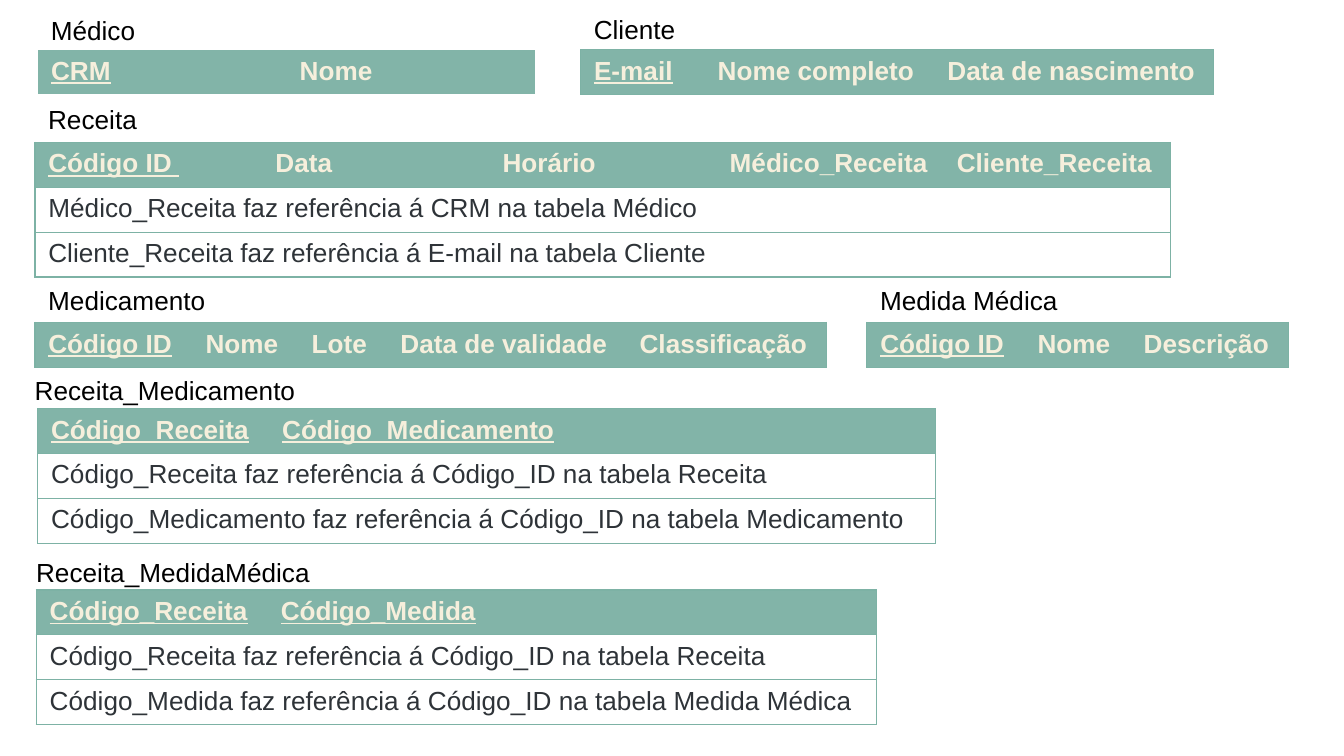
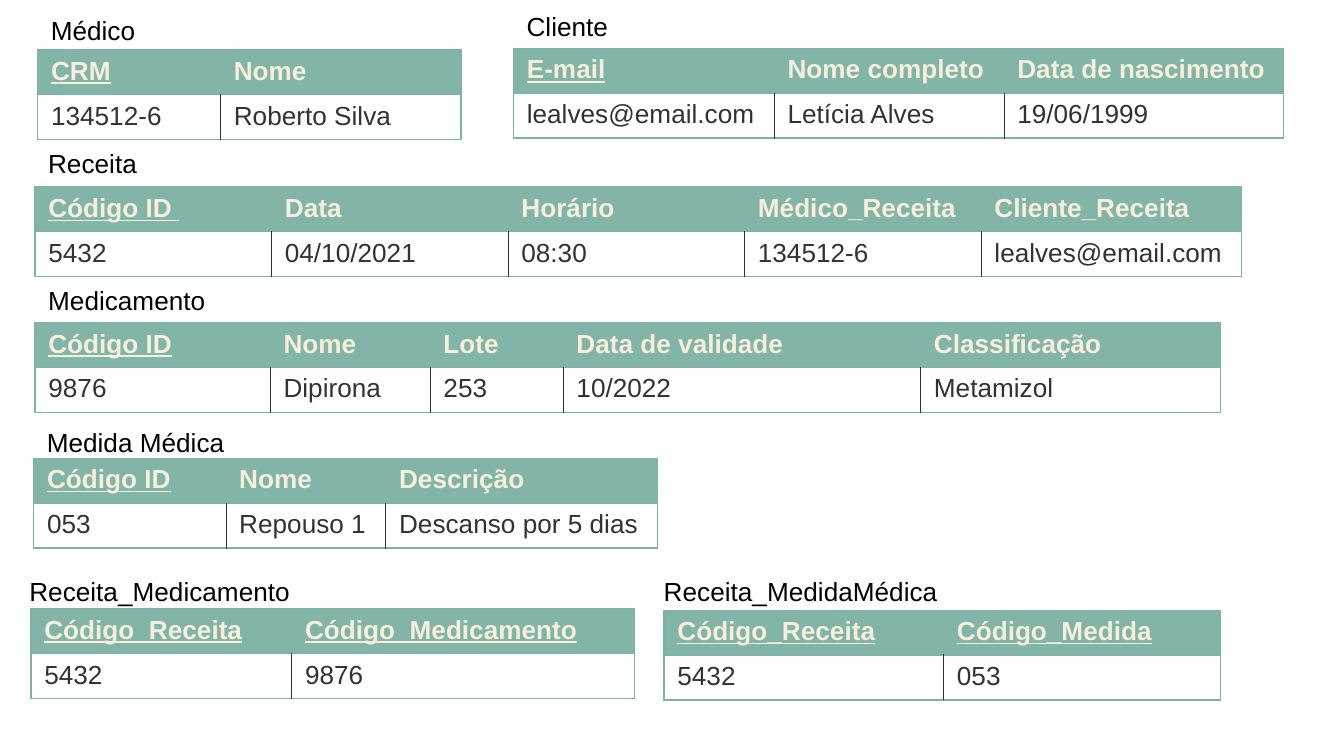
"""Build two slides: the relational schema of a clinic and sample records for it."""
from dataclasses import dataclass

from lxml import etree
from pptx import Presentation
from pptx import util as u
from pptx.dml.color import RGBColor
from pptx.enum import text
from pptx.oxml.ns import qn


@dataclass(frozen=True)
class Theme:
    font: str = "Arial"
    size: int = 14
    header: str = "82B4A8"
    edge: str = "7DB2A5"
    key: str = "F6EFDC"
    body: str = "2E3338"
    label: str = "000000"
    paper: str = "FFFFFF"
    edge_pt: float = 0.75
    divider_pt: float = 0.25
    row_h: float = 0.33
    label_h: float = 0.34
    slide_w: float = 10
    plain_style: str = "{2D5ABB26-0587-4C30-8999-92F81FD0307C}"


@dataclass(frozen=True)
class Relation:
    name: str
    label: tuple[float, float, float]
    at: tuple[float, float]
    cols: tuple[float, ...]
    fields: tuple[str, ...]
    keys: int = 1
    record: tuple[str, ...] = ()
    notes: tuple[str, ...] = ()
    outlined: bool = True


T = Theme()
EDGE = (T.edge, T.edge_pt)
DIVIDER = (T.body, T.divider_pt)

DOCTOR = ("CRM", "Nome")
CLIENT = ("E-mail", "Nome completo", "Data de nascimento")
PRESCRIPTION = ("Código ID ", "Data", "Horário", "Médico_Receita", "Cliente_Receita")
MEDICINE = ("Código ID", "Nome", "Lote", "Data de validade", "Classificação")
MEASURE = ("Código ID", "Nome", "Descrição")
PRESCRIBED_MEDICINE = ("Código_Receita", "Código_Medicamento")
PRESCRIBED_MEASURE = ("Código_Receita", "Código_Medida")


def reference(field: str, target: str, table: str) -> str:
    """Word a foreign key note."""
    return f"{field} faz referência á {target} na tabela {table}"


TO_PRESCRIPTION = reference("Código_Receita", "Código_ID", "Receita")

SCHEMA = (
    Relation("Médico", (0.28, 0.06, 0.84), (0.28, 0.37), (1.85, 1.85), DOCTOR,
             outlined=False),
    Relation("Receita", (0.26, 0.72, 1.04), (0.26, 1.06), (1.69,) * 5, PRESCRIPTION,
             notes=(reference("Médico_Receita", "CRM", "Médico"),
                    reference("Cliente_Receita", "E-mail", "Cliente"))),
    Relation("Cliente", (4.32, 0.05, 0.9), (4.32, 0.37), (0.92, 1.71, 2.08), CLIENT),
    Relation("Medicamento", (0.26, 2.07, 1.42), (0.26, 2.4),
             (1.17, 0.79, 0.66, 1.78, 1.49), MEDICINE),
    Relation("Medida Médica", (6.45, 2.07, 1.64), (6.45, 2.4), (1.17, 0.79, 1.18), MEASURE),
    Relation("Receita_Medicamento", (0.16, 2.74, 2.16), (0.28, 3.04), (1.72, 4.96),
             PRESCRIBED_MEDICINE, keys=2,
             notes=(TO_PRESCRIPTION,
                    reference("Código_Medicamento", "Código_ID", "Medicamento"))),
    Relation("Receita_MedidaMédica", (0.17, 4.09, 2.41), (0.27, 4.39), (1.72, 4.53),
             PRESCRIBED_MEASURE, keys=2,
             notes=(TO_PRESCRIPTION,
                    reference("Código_Medida", "Código_ID", "Medida Médica"))),
)

RECORDS = (
    Relation("Médico", (0.28, 0.06, 0.84), (0.28, 0.37), (1.36, 1.79), DOCTOR,
             record=("134512-6", "Roberto Silva")),
    Relation("Receita", (0.26, 1.05, 1.04), (0.26, 1.39), (1.76,) * 4 + (1.94,), PRESCRIPTION,
             record=("5432", "04/10/2021", "08:30", "134512-6", "lealves@email.com")),
    Relation("Cliente", (3.82, 0.03, 0.9), (3.82, 0.36), (1.94, 1.71, 2.08), CLIENT,
             record=("lealves@email.com", "Letícia Alves", "19/06/1999")),
    Relation("Medicamento", (0.26, 2.07, 1.42), (0.26, 2.4),
             (1.75, 1.19, 0.99, 2.66, 2.23), MEDICINE,
             record=("9876", "Dipirona", "253", "10/2022", "Metamizol")),
    Relation("Medida Médica", (0.25, 3.12, 1.64), (0.25, 3.41), (1.43, 1.19, 2.02), MEASURE,
             record=("053", "Repouso 1", "Descanso por 5 dias")),
    Relation("Receita_Medicamento", (0.12, 4.23, 2.16), (0.23, 4.53), (1.94, 2.55),
             PRESCRIBED_MEDICINE, keys=2, record=("5432", "9876")),
    Relation("Receita_MedidaMédica", (4.84, 4.23, 2.28), (4.94, 4.54), (2.08, 2.06),
             PRESCRIBED_MEASURE, keys=2, record=("5432", "053")),
)


def add_run(tf, content: str, color: str, bold: bool = False, underline: bool = False) -> None:
    """Add one styled run to the first paragraph."""
    p = tf.paragraphs[0]
    p.alignment = text.PP_ALIGN.LEFT
    r = p.add_run()
    r.text = content
    r.font.name = T.font
    r.font.size = u.Pt(T.size)
    r.font.bold = bold
    r.font.underline = underline
    r.font.color.rgb = RGBColor.from_string(color)


def set_borders(cell, **sides: tuple[str, float] | None) -> None:
    """Draw the named cell edges, in the order L, R, T, B."""
    tc_pr = cell._tc.get_or_add_tcPr()
    for side in "LRTB":
        if sides.get(side):
            color, width = sides[side]
            ln = etree.SubElement(tc_pr, qn(f"a:ln{side}"), w=str(u.Pt(width)))
            fill = etree.SubElement(ln, qn("a:solidFill"))
            etree.SubElement(fill, qn("a:srgbClr"), val=color)


def set_fill(cell, color: str) -> None:
    """Fill a cell with a solid colour."""
    cell.fill.solid()
    cell.fill.fore_color.rgb = RGBColor.from_string(color)


def add_label(s, rel: Relation) -> None:
    """Write the relation name above its table."""
    x, y, w = rel.label
    sp = s.shapes.add_textbox(u.Inches(x), u.Inches(y), u.Inches(w), u.Inches(T.label_h))
    tf = sp.text_frame
    tf.word_wrap = True
    tf.auto_size = text.MSO_AUTO_SIZE.SHAPE_TO_FIT_TEXT
    add_run(tf, rel.name, T.label)


def add_relation(s, rel: Relation) -> None:
    """Draw a relation as a header row with its record or its notes."""
    n_cols = len(rel.cols)
    n_rows = 1 + bool(rel.record) + len(rel.notes)
    x, y = rel.at
    frame = s.shapes.add_table(n_rows, n_cols, u.Inches(x), u.Inches(y),
                               u.Inches(sum(rel.cols)), u.Inches(n_rows * T.row_h))
    next(frame.element.iter(qn("a:tableStyleId"))).text = T.plain_style
    table = frame.table
    table.first_row = table.horz_banding = False
    for col, width in zip(table.columns, rel.cols):
        col.width = u.Inches(width)
    for row in table.rows:
        row.height = u.Inches(T.row_h)

    last = n_cols - 1
    for i, field in enumerate(rel.fields):
        cell = table.cell(0, i)
        if rel.outlined:
            set_borders(cell, L=EDGE if i == 0 else None, R=EDGE if i == last else None,
                        T=EDGE, B=EDGE)
        set_fill(cell, T.header)
        add_run(cell.text_frame, field, T.key, bold=True, underline=i < rel.keys)
    for i, value in enumerate(rel.record):
        cell = table.cell(1, i)
        set_borders(cell, L=DIVIDER if i else EDGE, R=EDGE if i == last else DIVIDER,
                    T=EDGE, B=EDGE)
        set_fill(cell, T.paper)
        add_run(cell.text_frame, value, T.body)
    for j, note in enumerate(rel.notes, 1):
        cell = table.cell(j, 0)
        cell.merge(table.cell(j, last))
        set_borders(cell, L=EDGE, R=EDGE, T=EDGE, B=EDGE)
        set_fill(cell, T.paper)
        add_run(cell.text_frame, note, T.body)


def main() -> None:
    """Build and save the presentation."""
    prs = Presentation()
    prs.slide_width = u.Inches(T.slide_w)
    prs.slide_height = u.Inches(T.slide_w * 9 / 16)
    for relations in (SCHEMA, RECORDS):
        s = prs.slides.add_slide(prs.slide_layouts[6])
        for rel in relations:
            add_relation(s, rel)
            add_label(s, rel)
    prs.save("out.pptx")


if __name__ == "__main__":
    main()
